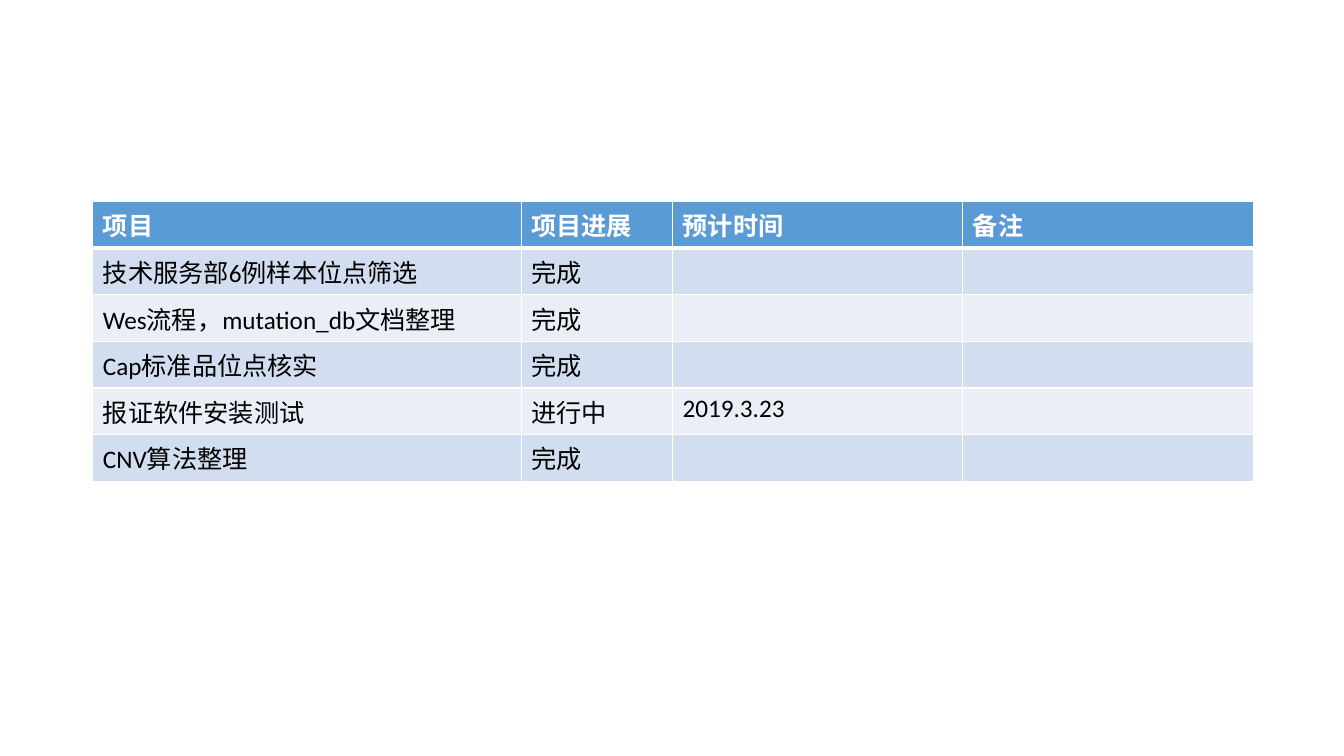
import pptx
import pptx.util
import pptx.dml.color
import pptx.oxml
import pptx.oxml.ns

COLORS = {"header": "5B9BD5", "odd": "D2DEEF", "even": "EAEFF7",
          "white": "FFFFFF", "black": "000000"}
COL_WIDTHS = [4.25, 1.5, 2.88, 2.88]
ROW_HEIGHT = 0.46
ROWS = [
    ["项目", "项目进展", "预计时间", "备注"],
    ["技术服务部6例样本位点筛选", "完成", "", ""],
    ["Wes流程，mutation_db文档整理", "完成", "", ""],
    ["Cap标准品位点核实", "完成", "", ""],
    ["报证软件安装测试", "进行中", "2019.3.23", ""],
    ["CNV算法整理", "完成", "", ""],
]


def rgb(name):
    return pptx.dml.color.RGBColor.from_string(COLORS[name])


def set_borders(cell, widths):
    """Draw white cell borders; widths maps L, R, T, B (in that order) to points."""
    tcPr = cell._tc.get_or_add_tcPr()
    for i, (side, width) in enumerate(widths.items()):
        tcPr.insert(i, pptx.oxml.parse_xml(
            f'<a:ln{side} {pptx.oxml.ns.nsdecls("a")} w="{pptx.util.Pt(width)}">'
            f'<a:solidFill><a:srgbClr val="{COLORS["white"]}"/></a:solidFill>'
            f'</a:ln{side}>'))


prs = pptx.Presentation()
prs.slide_width = pptx.util.Inches(13.33)
prs.slide_height = pptx.util.Inches(7.5)
s = prs.slides.add_slide(prs.slide_layouts[6])

table = s.shapes.add_table(
    len(ROWS), len(COL_WIDTHS), pptx.util.Inches(0.92), pptx.util.Inches(2),
    pptx.util.Inches(sum(COL_WIDTHS)),
    pptx.util.Inches(ROW_HEIGHT * len(ROWS))).table
for col, width in zip(table.columns, COL_WIDTHS):
    col.width = pptx.util.Inches(width)

for i, texts in enumerate(ROWS):
    table.rows[i].height = pptx.util.Inches(ROW_HEIGHT)
    is_header = i == 0
    fill = "header" if is_header else ("even", "odd")[i % 2]
    font = {"name": "Calibri", "size": pptx.util.Pt(18), "bold": is_header}
    borders = {"L": 1, "R": 1, "T": 3 if i == 1 else 1, "B": 3 if is_header else 1}
    for j, text in enumerate(texts):
        cell = table.cell(i, j)
        cell.fill.solid()
        cell.fill.fore_color.rgb = rgb(fill)
        set_borders(cell, borders)
        if text:
            r = cell.text_frame.paragraphs[0].add_run()
            r.text = text
            for key, value in font.items():
                setattr(r.font, key, value)
            r.font.color.rgb = rgb("white" if is_header else "black")

prs.save("out.pptx")
